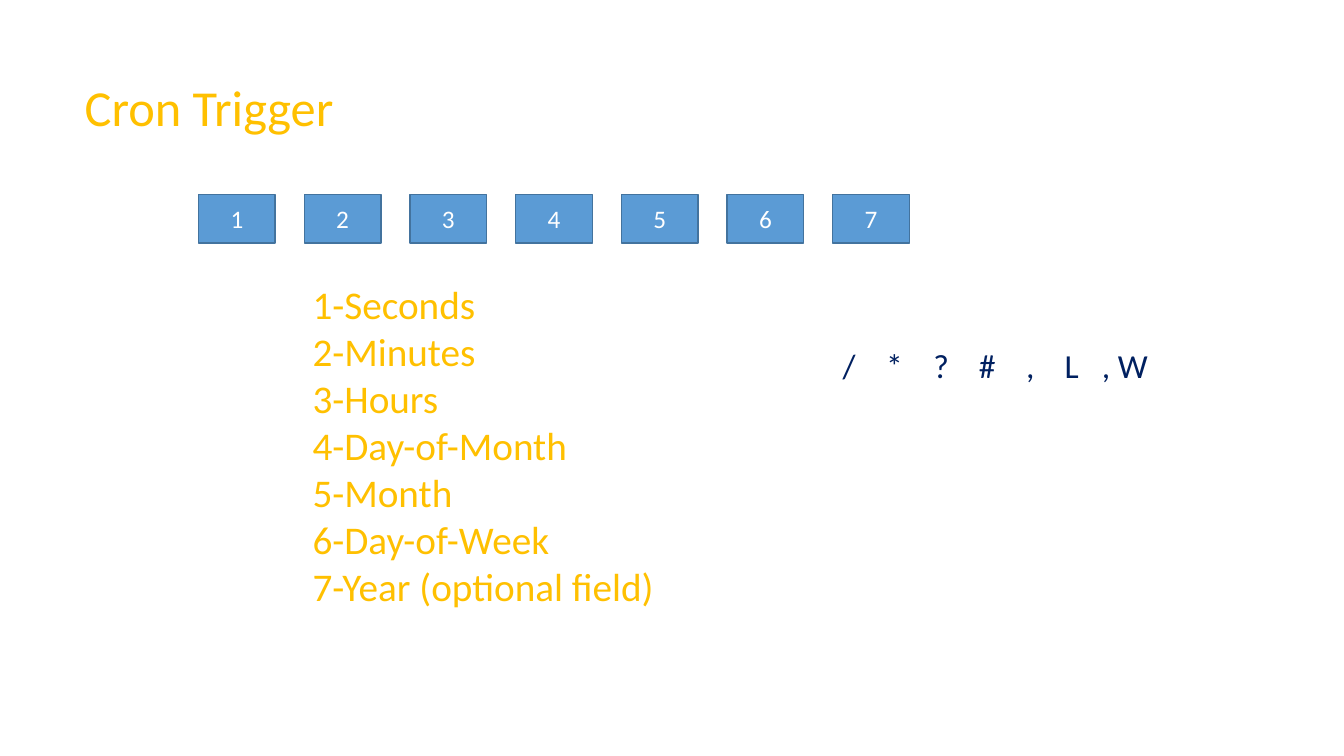
from lxml import etree
from pptx import Presentation
from pptx.dml.color import RGBColor
from pptx.enum.shapes import MSO_SHAPE
from pptx.enum.text import MSO_ANCHOR, MSO_AUTO_SIZE, PP_ALIGN
from pptx.oxml.ns import qn
from pptx.util import Inches, Pt

RECTANGLE = MSO_SHAPE.RECTANGLE
TOP, MIDDLE = MSO_ANCHOR.TOP, MSO_ANCHOR.MIDDLE
LEFT, CENTER = PP_ALIGN.LEFT, PP_ALIGN.CENTER
NO_AUTOFIT = MSO_AUTO_SIZE.NONE

GOLD = RGBColor(0xFF, 0xC0, 0x00)
NAVY = RGBColor(0x00, 0x20, 0x60)
BLUE = RGBColor(0x5B, 0x9B, 0xD5)
BLUE_EDGE = RGBColor(0x43, 0x73, 0x9E)
WHITE = RGBColor(0xFF, 0xFF, 0xFF)

FIELDS = ["Seconds", "Minutes", "Hours", "Day-of-Month", "Month",
          "Day-of-Week", "Year (optional field)"]
SYMBOLS = ["/", "*", "?", "#", ",", "L", ", W"]
SYMBOL_STOPS = [0.43, 0.9, 1.35, 1.82, 2.2, 2.57]
FIRST_LEFT, LAST_LEFT = 1.97, 8.26
STEP = (LAST_LEFT - FIRST_LEFT) / (len(FIELDS) - 1)


def place(box, left, top, width, height):
    box.left, box.top = Inches(left), Inches(top)
    box.width, box.height = Inches(width), Inches(height)


def style_text(box, size, color, align, anchor):
    frame = box.text_frame
    frame.word_wrap = True
    frame.auto_size = NO_AUTOFIT
    frame.vertical_anchor = anchor
    for para in frame.paragraphs:
        para.alignment = align
        para.space_before = Pt(0)
        para.font.name = "Calibri"
        para.font.size = Pt(size)
        para.font.color.rgb = color


deck = Presentation()
deck.slide_width, deck.slide_height = Inches(13.33), Inches(7.5)
page = deck.slides.add_slide(deck.slide_layouts[1])

title = page.shapes.title
place(title, 0.74, 0.7, 2.67, 0.71)
title.text_frame.text = "Cron Trigger"
style_text(title, 36, GOLD, LEFT, TOP)

field_list = page.placeholders[1]
place(field_list, 3, 2.73, 4.68, 3.4)
field_list.text_frame.text = "\n".join(
    f"{number}-{field}" for number, field in enumerate(FIELDS, 1))
style_text(field_list, 28, GOLD, LEFT, TOP)
for para in field_list.text_frame.paragraphs:
    properties = para._p.get_or_add_pPr()
    properties.set("marL", "0")
    properties.set("indent", "0")
    properties.find(qn("a:defRPr")).addprevious(etree.Element(qn("a:buNone")))

for index in range(len(FIELDS)):
    box = page.shapes.add_shape(
        RECTANGLE, Inches(FIRST_LEFT + index * STEP), Inches(1.93),
        Inches(0.76), Inches(0.48))
    box.shadow.inherit = False
    box.fill.solid()
    box.fill.fore_color.rgb = BLUE
    box.line.color.rgb = BLUE_EDGE
    box.line.width = Pt(1)
    box.text_frame.text = str(index + 1)
    style_text(box, 18, WHITE, CENTER, MIDDLE)

symbols = page.shapes.add_textbox(
    Inches(LAST_LEFT), Inches(3.37), Inches(3.24), Inches(0.5))
symbols.text_frame.text = "\t".join(SYMBOLS)
symbols.text_frame.margin_right = 0
style_text(symbols, 24, NAVY, LEFT, TOP)
tab_list = etree.Element(qn("a:tabLst"))
for stop in SYMBOL_STOPS:
    etree.SubElement(tab_list, qn("a:tab"), pos=str(Inches(stop)), algn="l")
properties = symbols.text_frame.paragraphs[0]._p.get_or_add_pPr()
properties.find(qn("a:defRPr")).addprevious(tab_list)

deck.save("out.pptx")
